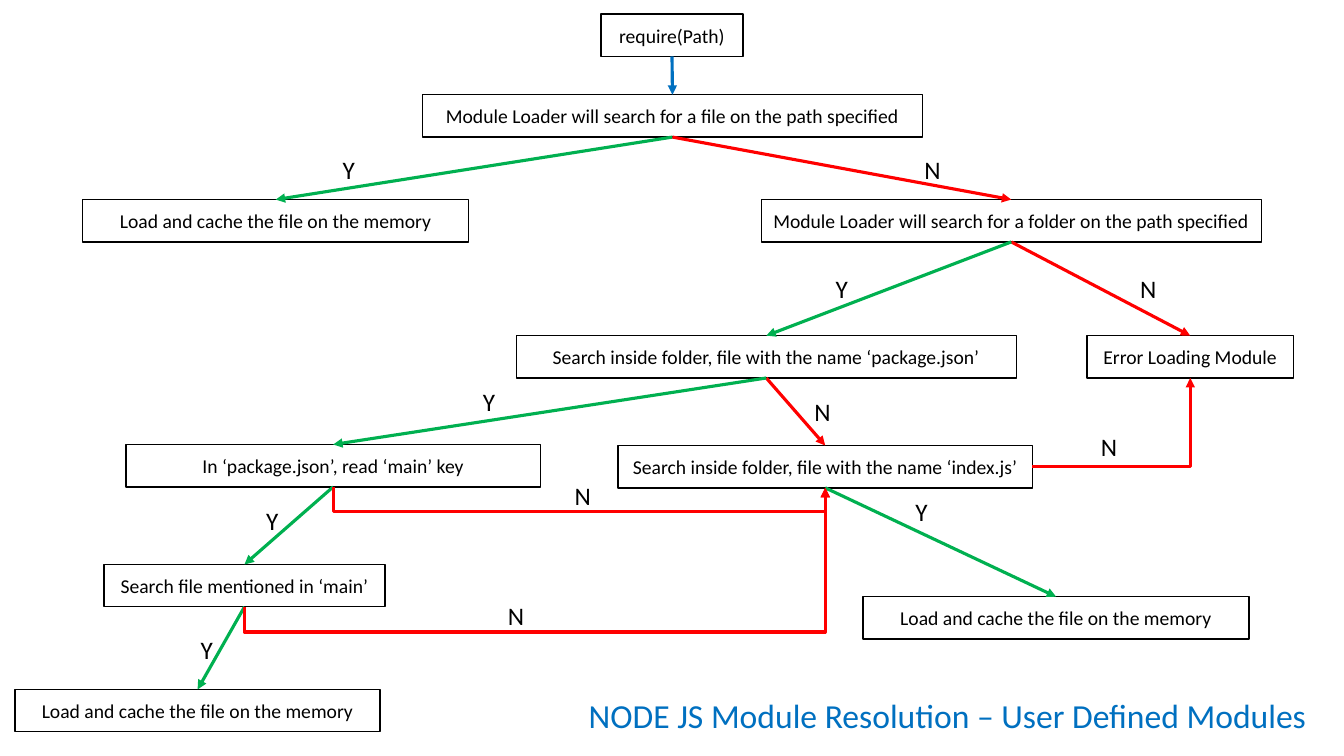
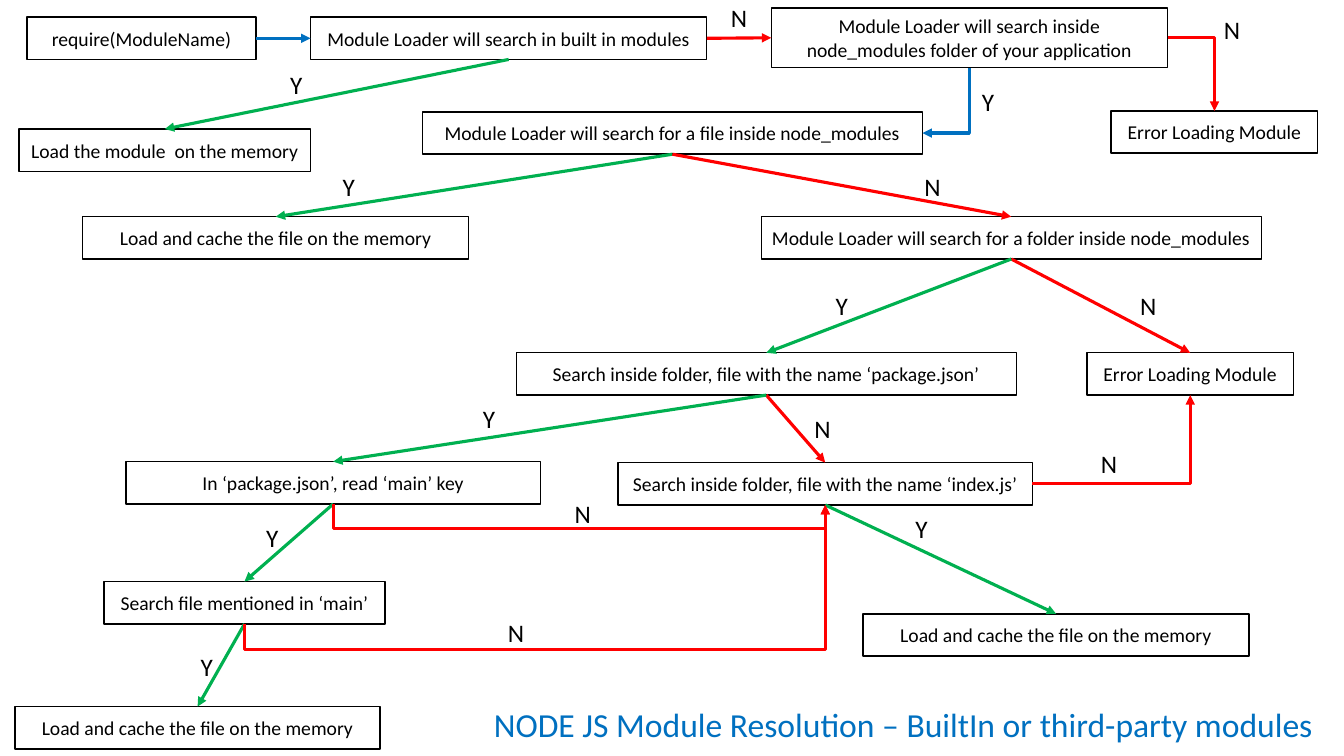
"""Build two flowcharts of how Node JS resolves modules."""
import lxml.etree
import pptx
import pptx.dml.color
import pptx.enum.shapes
import pptx.enum.text
import pptx.oxml.ns
import pptx.util

Inches = pptx.util.Inches
Pt = pptx.util.Pt
qn = pptx.oxml.ns.qn

COLORS = {"text": "000000", "box": "FFFFFF", "start": "0070C0", "Y": "00B050", "N": "FF0000"}
FONT = "Calibri"
BOX_H = 0.42
LABEL_W = {"Y": 0.32, "N": 0.36}
TOP, LEFT, BOTTOM, RIGHT = range(4)
U_DEPTH = 0.25

LOAD = "Load and cache the file on the memory"
ERROR = "Error Loading Module"

TREE_BOXES = {
    "file": ("Module Loader will search for a file {}", 4.19, 0.94, 4.96),
    "load_file": (LOAD, 0.82, 1.98, 3.83),
    "folder": ("Module Loader will search for a folder {}", 7.55, 1.98, 4.96),
    "error": (ERROR, 10.78, 3.33, 2.05),
    "package": ("Search inside folder, file with the name ‘package.json’", 5.12, 3.33, 4.96),
    "index": ("Search inside folder, file with the name ‘index.js’", 6.13, 4.42, 4.11),
    "load_index": (LOAD, 8.56, 5.92, 3.83),
    "main_key": ("In ‘package.json’, read ‘main’ key", 1.25, 4.41, 4.11),
    "main_file": ("Search file mentioned in ‘main’", 1.03, 5.6, 2.79),
    "load_main": (LOAD, 0.15, 6.84, 3.62),
}
TREE_BRANCHES = [
    ("file", "load_file", "Y", 3.3, 1.48),
    ("file", "folder", "N", 9.07, 1.48),
    ("folder", "error", "N", 11.21, 2.66),
    ("folder", "package", "Y", 8.19, 2.66),
    ("package", "index", "N", 7.98, 3.88),
    ("index", "load_index", "Y", 8.98, 4.87),
    ("package", "main_key", "Y", 4.69, 3.78),
    ("main_key", "main_file", "Y", 2.54, 4.96),
    ("main_file", "load_main", "Y", 1.89, 6.24),
]


def rgb(name):
    return pptx.dml.color.RGBColor.from_string(COLORS[name])


def style_text(p, size, color="text"):
    p.font.name = FONT
    p.font.size = Pt(size)
    p.font.color.rgb = rgb(color)


def add_box(s, text, x, y, w, h=BOX_H):
    sp = s.shapes.add_shape(pptx.enum.shapes.MSO_SHAPE.RECTANGLE,
                            Inches(x), Inches(y), Inches(w), Inches(h))
    sp.shadow.inherit = False
    sp.fill.solid()
    sp.fill.fore_color.rgb = rgb("box")
    sp.line.color.rgb = rgb("text")
    sp.line.width = Pt(1)
    tf = sp.text_frame
    tf.word_wrap = True
    tf.vertical_anchor = pptx.enum.text.MSO_ANCHOR.MIDDLE
    p = tf.paragraphs[0]
    p.text = text
    p.alignment = pptx.enum.text.PP_ALIGN.CENTER
    style_text(p, 14)
    return sp


def add_text(s, text, x, y, w, h, size, color="text"):
    tf = s.shapes.add_textbox(Inches(x), Inches(y), Inches(w), Inches(h)).text_frame
    tf.word_wrap = False
    p = tf.paragraphs[0]
    p.text = text
    style_text(p, size, color)


def add_label(s, answer, x, y):
    add_text(s, answer, x, y, LABEL_W[answer], 0.4, 18)


def add_title(s, text, x, y, w):
    add_text(s, text, x, y, w, 0.5, 24, "start")


def style_arrow(cx, color):
    cx.line.color.rgb = rgb(color)
    cx.line.width = Pt(2.25)
    ln = cx.line._get_or_add_ln()
    lxml.etree.SubElement(ln, qn("a:tailEnd"), type="triangle")
    lxml.etree.SubElement(cx._element.spPr, qn("a:effectLst"))


def add_arrow(s, start, end, color, begin_site=BOTTOM, end_site=TOP):
    cx = s.shapes.add_connector(pptx.enum.shapes.MSO_CONNECTOR.STRAIGHT, 0, 0, 0, 0)
    cx.begin_connect(start, begin_site)
    cx.end_connect(end, end_site)
    style_arrow(cx, color)


def side(sp, site):
    if site in (TOP, BOTTOM):
        return sp.left + sp.width // 2, sp.top + (sp.height if site == BOTTOM else 0)
    return sp.left + (sp.width if site == RIGHT else 0), sp.top + sp.height // 2


def add_elbow(s, begin, end, color, rot=0, flips=(), bend=None):
    (x1, y1), (x2, y2) = begin, end
    w, h = abs(x2 - x1), abs(y2 - y1)
    if rot:
        w, h = h, w
    cx = s.shapes.add_connector(pptx.enum.shapes.MSO_CONNECTOR.ELBOW, 0, 0, 0, 0)
    cx.left, cx.top = (x1 + x2 - w) // 2, (y1 + y2 - h) // 2
    cx.width, cx.height = w, h
    xfrm = cx._element.spPr.find(qn("a:xfrm"))
    xfrm.set("rot", str(rot * 60000))
    for flip in flips:
        xfrm.set(flip, "1")
    geom = cx._element.spPr.find(qn("a:prstGeom"))
    if bend is None:
        geom.set("prst", "bentConnector2")
    else:
        guides = geom.find(qn("a:avLst"))
        lxml.etree.SubElement(guides, qn("a:gd"), name="adj1",
                              fmla=f"val {round(Inches(bend) / w * 100000)}")
    style_arrow(cx, color)


def add_tree(s, place, dy=0):
    boxes = {key: add_box(s, text.format(place), x, y + dy, w)
             for key, (text, x, y, w) in TREE_BOXES.items()}
    for start, end, answer, x, y in TREE_BRANCHES:
        add_arrow(s, boxes[start], boxes[end], answer)
        add_label(s, answer, x, y + dy)
    index_bottom = side(boxes["index"], BOTTOM)
    add_elbow(s, side(boxes["index"], RIGHT), side(boxes["error"], BOTTOM), "N", flips=["flipV"])
    add_elbow(s, side(boxes["main_key"], BOTTOM), index_bottom, "N", 270, ["flipH"], U_DEPTH)
    add_elbow(s, side(boxes["main_file"], BOTTOM), index_bottom, "N", 90,
              ["flipH", "flipV"], -U_DEPTH)
    for x, y in [(10.82, 4.23), (5.6, 4.72), (4.94, 5.91)]:
        add_label(s, "N", x, y + dy)
    return boxes["file"]


def build_user_defined(s):
    file_box = add_tree(s, "on the path specified")
    require = add_box(s, "require(Path)", 5.96, 0.14, 1.41)
    add_arrow(s, require, file_box, "start")
    add_title(s, "NODE JS Module Resolution – User Defined Modules", 5.74, 6.84, 7.39)


def build_third_party(s):
    file_box = add_tree(s, "inside node_modules", 0.17)
    require = add_box(s, "require(ModuleName)", 0.27, 0.17, 2.27)
    built_in = add_box(s, "Module Loader will search in built in modules", 3.08, 0.17, 3.93)
    load = add_box(s, "Load the module  on the memory", 0.19, 1.28, 2.89)
    modules = add_box(s, "Module Loader will search inside node_modules folder of your application",
                      7.65, 0.08, 3.93, 0.59)
    error = add_box(s, ERROR, 11.02, 1.1, 2.05)
    add_arrow(s, require, built_in, "start", RIGHT, LEFT)
    add_arrow(s, built_in, load, "Y")
    add_arrow(s, built_in, modules, "N", RIGHT, LEFT)
    add_elbow(s, side(modules, RIGHT), side(error, TOP), "N")
    add_elbow(s, side(modules, BOTTOM), side(file_box, RIGHT), "start", 90)
    for answer, x, y in [("Y", 2.78, 0.64), ("N", 7.15, -0.03),
                         ("N", 12.04, 0.09), ("Y", 9.64, 0.81)]:
        add_label(s, answer, x, y)
    add_title(s, "NODE JS Module Resolution – BuiltIn or third-party modules", 4.8, 6.93, 8.4)


def main():
    prs = pptx.Presentation()
    prs.slide_width, prs.slide_height = Inches(13.33), Inches(7.5)
    for build in (build_user_defined, build_third_party):
        build(prs.slides.add_slide(prs.slide_layouts[6]))
    prs.save("out.pptx")


if __name__ == "__main__":
    main()
